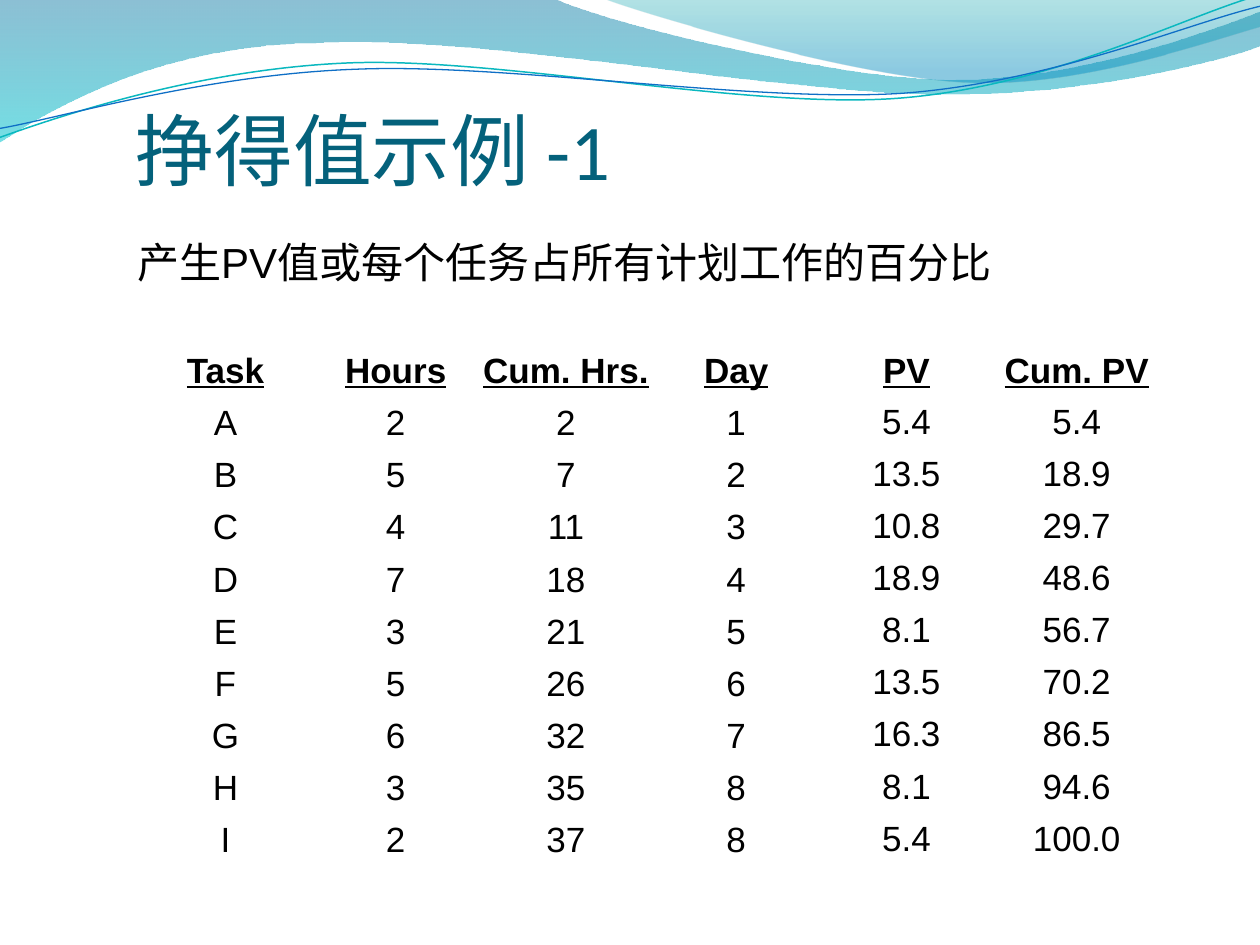
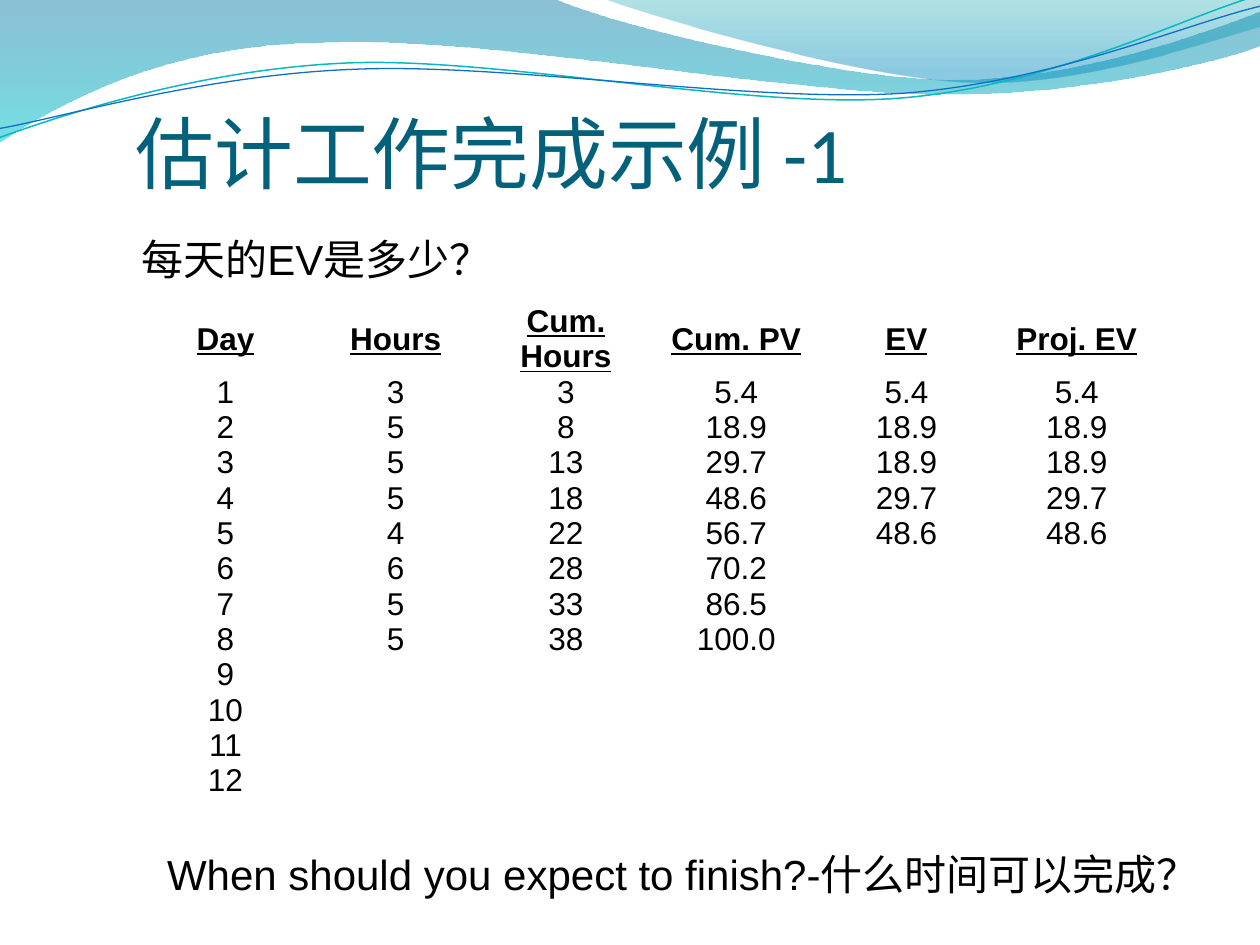
"""Build two earned-value slides that share a wave banner, title style and table style."""
from lxml import etree
from pptx import Presentation
from pptx.dml.color import RGBColor
from pptx.enum.text import MSO_ANCHOR, MSO_AUTO_SIZE, PP_ALIGN
from pptx.oxml.ns import qn
from pptx.util import Pt

LEFT, CENTER = PP_ALIGN.LEFT, PP_ALIGN.CENTER
TOP, MIDDLE = MSO_ANCHOR.TOP, MSO_ANCHOR.MIDDLE
NO_FIT = MSO_AUTO_SIZE.NONE

BLACK = RGBColor(0x00, 0x00, 0x00)
TITLE_BLUE = RGBColor(0x04, 0x61, 0x7B)
BAND_BLUE = RGBColor(0x00, 0x74, 0xA1)
BAND_CYAN = RGBColor(0x00, 0xC6, 0xCF)
SHEEN_TEAL = RGBColor(0x00, 0xA1, 0xA9)
SHEEN_BLUE = RGBColor(0x00, 0x8B, 0xBF)
LINE_TEAL = RGBColor(0x0A, 0xB8, 0xBF)
LINE_BLUE = RGBColor(0x0F, 0x6F, 0xC6)

BAND = [(0, -0.7), (316.8, -0.7),
        (342.7, 12.2, 478.1, 45.4, 545.8, 45.4),
        (614.2, 45.4, 689.8, 18.7, 720, 6.5), (720.7, 25.9),
        (707.8, 31.7, 626.4, 54.7, 537.1, 54),
        (447.8, 54, 275, 20.2, 185, 24.5),
        (92.9, 25.2, 33.1, 59.8, -0.7, 81.4)]
SHEEN = [(344.9, -0.7),
         (366.5, 7.9, 491, 44.6, 553.7, 46.8),
         (616.3, 49.7, 691.9, 23, 720, 15.1), (720, 0)]
TEAL_WAVE = [(0, 78.5),
             (34.6, 66.2, 113, 39.6, 198.7, 36),
             (284.4, 32.4, 426.2, 62.6, 512.6, 56.2),
             (599.8, 49.7, 675.4, 10.1, 717.8, -2.2)]
BLUE_WAVE = [(0, 73.4),
             (33.8, 67.7, 117.4, 42.5, 203.8, 39.6),
             (289.4, 36, 429.8, 59, 516.2, 53.3),
             (601.9, 46.8, 677.5, 13.7, 720, 3.6)]

PV_ROWS = [
    ("Task", "Hours", "Cum. Hrs.", "Day", "PV", "Cum. PV"),
    ("A", "2", "2", "1", "5.4", "5.4"),
    ("B", "5", "7", "2", "13.5", "18.9"),
    ("C", "4", "11", "3", "10.8", "29.7"),
    ("D", "7", "18", "4", "18.9", "48.6"),
    ("E", "3", "21", "5", "8.1", "56.7"),
    ("F", "5", "26", "6", "13.5", "70.2"),
    ("G", "6", "32", "7", "16.3", "86.5"),
    ("H", "3", "35", "8", "8.1", "94.6"),
    ("I", "2", "37", "8", "5.4", "100.0"),
]
EV_ROWS = [
    ("Day", "Hours", "Cum. Hours", "Cum. PV", "EV", "Proj. EV"),
    ("1", "3", "3", "5.4", "5.4", "5.4"),
    ("2", "5", "8", "18.9", "18.9", "18.9"),
    ("3", "5", "13", "29.7", "18.9", "18.9"),
    ("4", "5", "18", "48.6", "29.7", "29.7"),
    ("5", "4", "22", "56.7", "48.6", "48.6"),
    ("6", "6", "28", "70.2", "", ""),
    ("7", "5", "33", "86.5", "", ""),
    ("8", "5", "38", "100.0", "", ""),
    *[(str(day), "", "", "", "", "") for day in range(9, 13)],
]


def write(tf, text, size=24, font="Arial", color=BLACK, bold=False, underline=False,
          align=LEFT, spacing=0.9, indent=0):
    """Write one formatted paragraph into a text frame."""
    p = tf.paragraphs[0]
    p.alignment = align
    p.line_spacing = spacing
    if indent:
        pPr = p._p.get_or_add_pPr()
        pPr.set("marL", str(Pt(indent)))
        pPr.set("indent", "0")
    if not text:
        p._p.get_or_add_endParaRPr().set("sz", "1200")
        return
    r = p.add_run()
    r.text = text
    r.font.size = Pt(size)
    r.font.name = font
    r.font.color.rgb = color
    r.font.bold = bold
    r.font.underline = underline


def set_frame(tf, inset_x, inset_y, anchor):
    """Set the insets, wrapping and anchor of a text frame."""
    tf.word_wrap = True
    tf.auto_size = NO_FIT
    tf.margin_left = tf.margin_right = Pt(inset_x)
    tf.margin_top = tf.margin_bottom = Pt(inset_y)
    tf.vertical_anchor = anchor


def add_outline(slide, outline, closed):
    """Draw a freeform whose six-number segments are cubic curves."""
    points = [(Pt(x), Pt(y)) for seg in outline for x, y in zip(seg[::2], seg[1::2])]
    builder = slide.shapes.build_freeform(*points[0])
    builder.add_line_segments(points[1:], close=closed)
    sp = builder.convert_to_shape()
    sp.shadow.inherit = False
    lines = iter(list(sp._element.iter(qn("a:lnTo"))))
    for seg in outline[1:]:
        first = next(lines)
        if len(seg) == 6:
            curve = etree.Element(qn("a:cubicBezTo"))
            first.addprevious(curve)
            for line in (first, next(lines), next(lines)):
                curve.append(line[0])
                line.getparent().remove(line)
    return sp


def add_area(slide, outline, stops):
    """Draw a filled wave; stops are (colour, position, opacity percent)."""
    sp = add_outline(slide, outline, True)
    sp.line.fill.background()
    sp.fill.gradient()
    sp.fill.gradient_angle = 270
    for stop, (color, position, _) in zip(sp.fill.gradient_stops, stops):
        stop.color.rgb = color
        stop.position = position
    for clr, (_, _, opacity) in zip(sp._element.spPr.iter(qn("a:srgbClr")), stops):
        etree.SubElement(clr, qn("a:alpha")).set("val", str(opacity * 1000))
    return sp


def add_wave(slide, outline, color, width):
    """Draw an open wave line."""
    sp = add_outline(slide, outline, False)
    sp.fill.background()
    sp.line.color.rgb = color
    sp.line.width = Pt(width)
    return sp


def add_banner(slide):
    """Draw the wave banner and move it behind the layout's placeholders."""
    waves = [
        add_area(slide, BAND, [(BAND_BLUE, 0, 45), (BAND_CYAN, 1, 55)]),
        add_area(slide, SHEEN, [(SHEEN_TEAL, 0, 30), (SHEEN_BLUE, 0.8, 45)]),
        add_wave(slide, TEAL_WAVE, LINE_TEAL, 0.85),
        add_wave(slide, BLUE_WAVE, LINE_BLUE, 0.75),
    ]
    tree = slide.slide_layout.shapes.element
    for i, sp in enumerate(waves):
        tree.insert(2 + i, sp._element)


def set_title(slide, text, top, width):
    """Place and fill the title placeholder."""
    sp = slide.shapes.title
    sp.left, sp.top, sp.width, sp.height = Pt(68.2), Pt(top), Pt(width), Pt(49.7)
    set_frame(sp.text_frame, 9.2, 4.3, MIDDLE)
    write(sp.text_frame, text, size=45, font="Calibri", color=TITLE_BLUE)


def add_text(slide, text, left, top, width, height, inset_x=8.6, inset_y=4.3, indent=10):
    """Add a line of body text and return its frame."""
    sp = slide.shapes.add_textbox(Pt(left), Pt(top), Pt(width), Pt(height))
    set_frame(sp.text_frame, inset_x, inset_y, TOP)
    write(sp.text_frame, text, indent=indent)
    return sp.text_frame


def add_grid(slide, rows, top, row_height, size=18, left=80.2, col_width=97.3,
             tight_from=6):
    """Add a plain centred table; body columns from tight_from use tighter lines."""
    cols = len(rows[0])
    table = slide.shapes.add_table(len(rows), cols, Pt(left), Pt(top), Pt(col_width * cols),
                                   Pt(row_height * len(rows))).table
    table.first_row = table.horz_banding = False
    for col in table.columns:
        col.width = Pt(col_width)
    for r, row in enumerate(rows):
        table.rows[r].height = Pt(row_height)
        header = r == 0
        for c, text in enumerate(row):
            cell = table.cell(r, c)
            cell.fill.background()
            cell.vertical_anchor = MIDDLE
            cell.margin_left = cell.margin_right = cell.margin_top = cell.margin_bottom = 0
            write(cell.text_frame, text, size=size, bold=header, underline=header,
                  align=CENTER, spacing=0.9 if c >= tight_from and not header else 1.0)


def main():
    """Build both slides and save them."""
    prs = Presentation()
    prs.slide_width, prs.slide_height = Pt(720), Pt(540)
    layout = prs.slide_layouts[5]

    slide = prs.slides.add_slide(layout)
    add_banner(slide)
    set_title(slide, "挣得值示例 -1", 63.7, 584.6)
    add_text(slide, "产生PV值或每个任务占所有计划工作的百分比", 59.8, 133.9, 595.4, 53.3)
    add_grid(slide, PV_ROWS, 197.3, 29.81, size=20, tight_from=4)
    add_grid(slide, [("",)], 280.8, 31, left=701.3, col_width=16.6)

    slide = prs.slides.add_slide(layout)
    set_title(slide, "估计工作完成示例 -1", 65.5, 615.6)
    add_text(slide, "每天的EV是多少？", 62.2, 132.5, 595.4, 23.8)
    add_grid(slide, EV_ROWS, 173.7, 20)
    tf = add_text(slide, "When should you expect to finish?-什么时间可以完成？",
                  78.5, 488.2, 608.4, 21.6, inset_x=0, inset_y=0, indent=17)
    tf.margin_right = Pt(24)

    prs.save("out.pptx")


if __name__ == "__main__":
    main()
